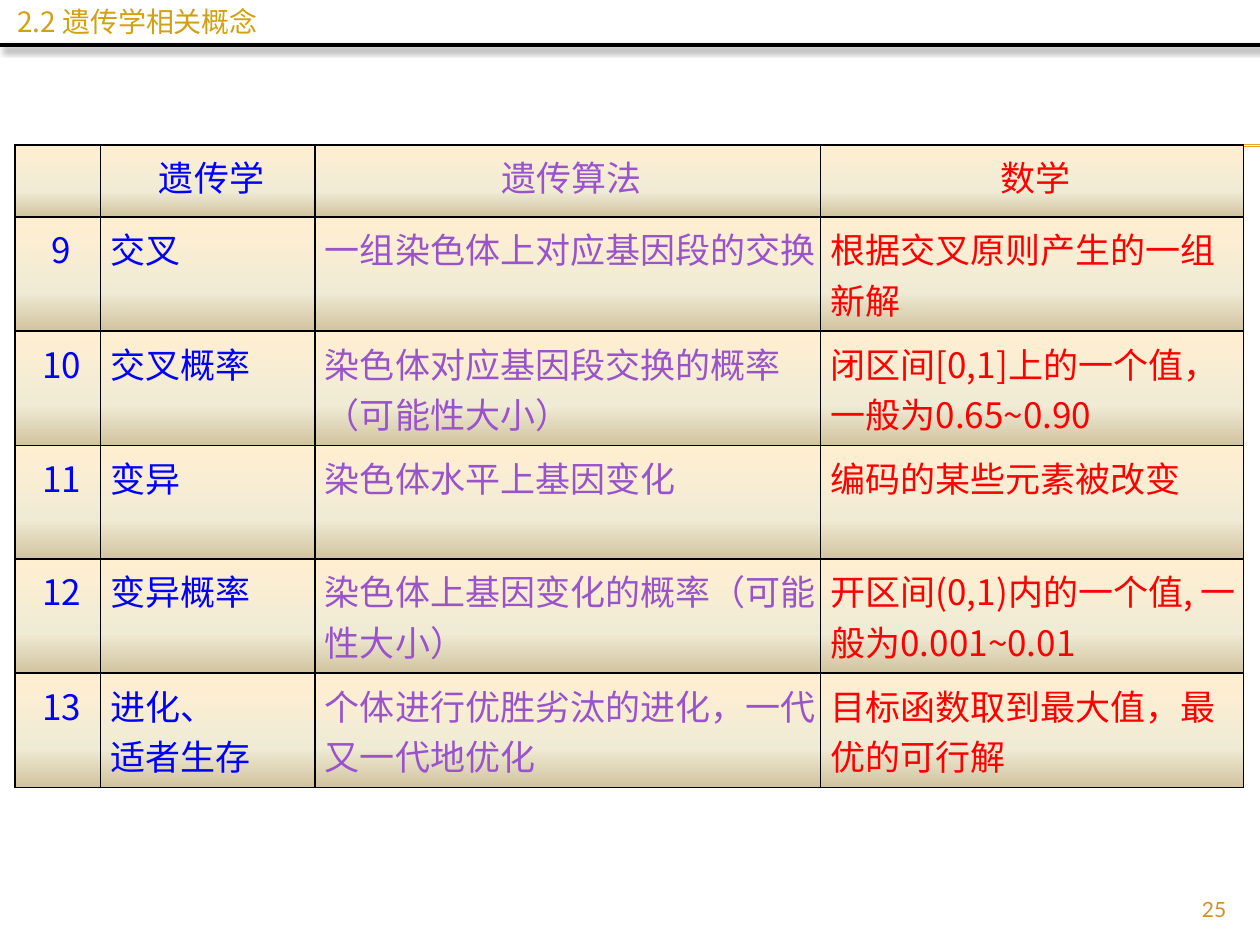
from dataclasses import dataclass

from lxml import etree
from pptx import Presentation
from pptx import util as u
from pptx.dml.color import RGBColor
from pptx.enum import shapes, text
from pptx.oxml import parse_xml
from pptx.oxml.ns import nsdecls, qn


@dataclass(frozen=True)
class Theme:
    title: str = "D2A010"
    number: str = "D48F29"
    accent: str = "F0A22E"
    black: str = "000000"
    columns: tuple = ("0000FF", "0000FF", "9954CC", "FF0000")
    gradient: tuple = ((0, "FFEFD1"), (65, "F0EBD5"), (100, "D1C39F"))
    title_font: str = "Noto Sans CJK JP"
    table_font: str = "Noto Sans CJK SC"
    number_font: str = "Lato"
    title_size: int = 16
    table_size: int = 20
    number_size: int = 12


class Deck:
    def __init__(self, theme):
        self.theme = theme
        self.prs = Presentation()
        self.prs.slide_width, self.prs.slide_height = u.Cm(25.4), u.Cm(19.05)
        self.s = self.prs.slides.add_slide(self.prs.slide_layouts[6])

    def style(self, tf, font, size, color, align):
        for p in tf.paragraphs:
            p.alignment = align
            for r in p.runs:
                r.font.name, r.font.size = font, u.Pt(size)
                r.font.color.rgb = RGBColor.from_string(color)
                ea = etree.SubElement(r.font._element, qn("a:ea"))
                ea.set("typeface", font)

    def text(self, words, box, font, size, color, align, anchor):
        tf = self.s.shapes.add_textbox(*map(u.Cm, box)).text_frame
        tf.word_wrap = True
        tf.vertical_anchor = anchor
        tf.text = words
        self.style(tf, font, size, color, align)

    def line(self, x, y, color, width, shadow=""):
        sp = self.s.shapes.add_connector(
            shapes.MSO_CONNECTOR.STRAIGHT, u.Cm(x), u.Cm(y), u.Cm(25.4), u.Cm(y))
        sp.line.color.rgb = RGBColor.from_string(color)
        sp.line.width = u.Pt(width)
        sp._element.spPr.append(parse_xml(
            f'<a:effectLst {nsdecls("a")}>{shadow}</a:effectLst>'))

    def paint(self, cell):
        t = self.theme
        tcPr = cell._tc.get_or_add_tcPr()
        for side in "LRTB":
            tcPr.append(parse_xml(
                f'<a:ln{side} {nsdecls("a")} w="{u.Pt(1)}"><a:solidFill>'
                f'<a:srgbClr val="{t.black}"/></a:solidFill></a:ln{side}>'))
        stops = "".join(f'<a:gs pos="{pos * 1000}"><a:srgbClr val="{c}"/></a:gs>'
                        for pos, c in t.gradient)
        tcPr.append(parse_xml(
            f'<a:gradFill {nsdecls("a")} rotWithShape="1"><a:gsLst>{stops}</a:gsLst>'
            '<a:lin ang="5400000" scaled="0"/></a:gradFill>'))

    def table(self, rows, x, y, widths, heights):
        t = self.theme
        tbl = self.s.shapes.add_table(
            len(rows), len(widths), u.Cm(x), u.Cm(y),
            u.Cm(sum(widths)), u.Cm(sum(heights))).table
        for col, width in zip(tbl.columns, widths):
            col.width = u.Cm(width)
        for i, (row, height) in enumerate(zip(rows, heights)):
            tbl.rows[i].height = u.Cm(height)
            for j, words in enumerate(row):
                cell = tbl.cell(i, j)
                cell.margin_left, cell.margin_right = u.Cm(0.2), u.Cm(0.05)
                cell.text_frame.text = words
                centred = i == 0 or j == 0
                align = text.PP_ALIGN.CENTER if centred else text.PP_ALIGN.LEFT
                self.style(cell.text_frame, t.table_font, t.table_size,
                           t.columns[j], align)
                self.paint(cell)


ROWS = [
    ("", "遗传学", "遗传算法", "数学"),
    ("9", "交叉", "一组染色体上对应基因段的交换", "根据交叉原则产生的一组新解"),
    ("10", "交叉概率", "染色体对应基因段交换的概率（可能性大小）",
     "闭区间[0,1]上的一个值，一般为0.65~0.90"),
    ("11", "变异", "染色体水平上基因变化", "编码的某些元素被改变"),
    ("12", "变异概率", "染色体上基因变化的概率（可能性大小）",
     "开区间(0,1)内的一个值, 一般为0.001~0.01"),
    ("13", "进化、\n适者生存", "个体进行优胜劣汰的进化，一代又一代地优化",
     "目标函数取到最大值，最优的可行解"),
]
SHADOW = (f'<a:outerShdw blurRad="{u.Pt(4)}" dist="{u.Pt(3)}" dir="2700000">'
          '<a:srgbClr val="000000"><a:alpha val="40000"/></a:srgbClr></a:outerShdw>')


def main():
    t = Theme()
    d = Deck(t)
    for y in (2.92, 2.95):
        d.line(1.42, y, t.accent, 0.75)
    d.table(ROWS, 0.3, 2.92, (1.73, 4.32, 10.19, 8.53), [1.45] + [2.29] * 5)
    d.text("25", (22.86, 17.98, 2.11, 0.69), t.number_font, t.number_size,
           t.number, text.PP_ALIGN.RIGHT, text.MSO_ANCHOR.MIDDLE)
    d.text("2.2 遗传学相关概念", (0.1, -0.03, 14, 0.94), t.title_font, t.title_size,
           t.title, text.PP_ALIGN.LEFT, text.MSO_ANCHOR.TOP)
    d.line(0, 0.91, t.black, 2, SHADOW)
    d.prs.save("out.pptx")


if __name__ == "__main__":
    main()
